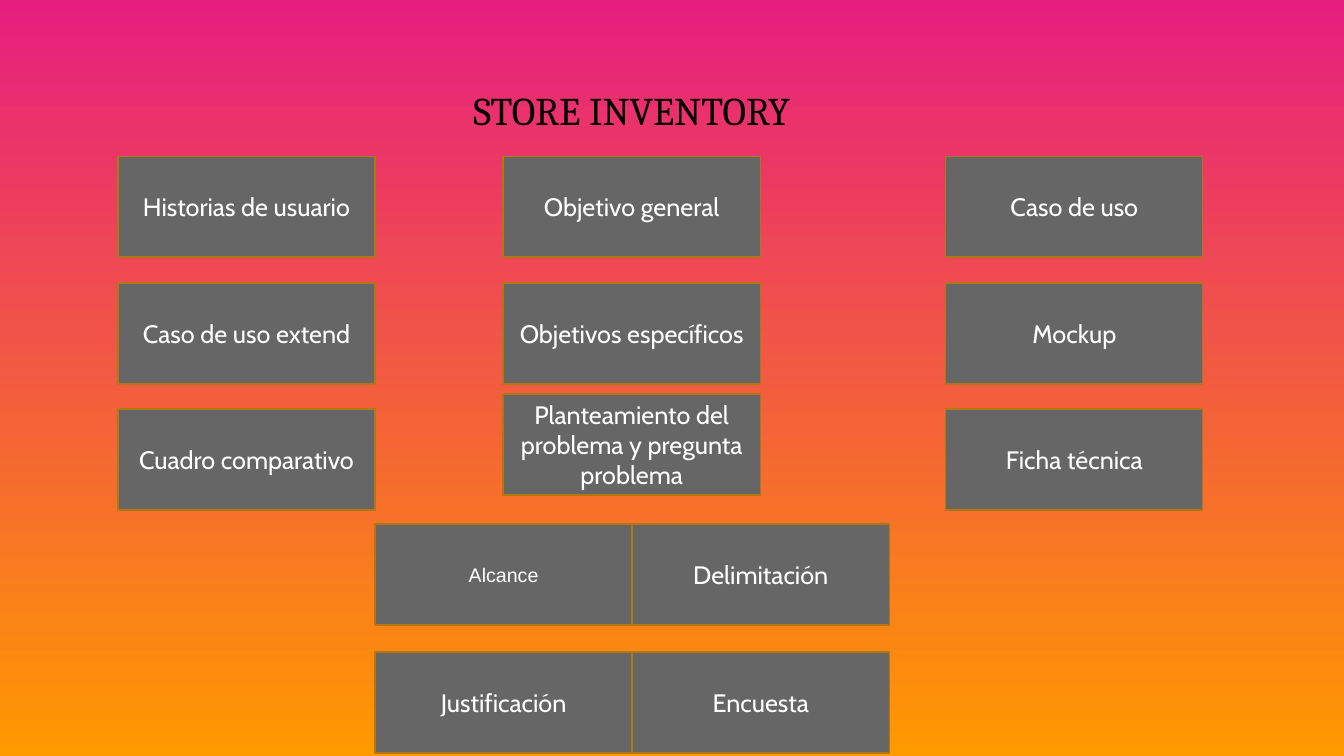
import dataclasses

import pptx
import pptx.dml.color
import pptx.enum.shapes
import pptx.enum.text
import pptx.slide
import pptx.text.text
import pptx.util

PINK = pptx.dml.color.RGBColor(0xE6, 0x1E, 0x7F)
ORANGE = pptx.dml.color.RGBColor(0xFF, 0x99, 0x00)
GREY = pptx.dml.color.RGBColor(0x66, 0x66, 0x66)
BROWN = pptx.dml.color.RGBColor(0xB3, 0x76, 0x15)
WHITE = pptx.dml.color.RGBColor(0xFF, 0xFF, 0xFF)
BLACK = pptx.dml.color.RGBColor(0x00, 0x00, 0x00)

SCALE = 9144  # EMU per px, 100 px to the inch
WIDE, HIGH = 255, 100
LEFT, MID, RIGHT = 117, 499, 938
PAIR = LEFT + WIDE  # the paired boxes start where the left column ends
TOPS = (155, 281, 406, 520, 647)


@dataclasses.dataclass(frozen=True)
class Box:
    text: str
    left: int
    top: int
    font: str = "Cabin"
    size: int = 18


BOXES = (
    Box("Historias de usuario", LEFT, TOPS[0]),
    Box("Objetivo general", MID, TOPS[0]),
    Box("Caso de uso", RIGHT, TOPS[0]),
    Box("Caso de uso extend", LEFT, TOPS[1]),
    Box("Objetivos específicos", MID, TOPS[1]),
    Box("Mockup", RIGHT, TOPS[1]),
    Box("Cuadro comparativo", LEFT, TOPS[2]),
    Box("Planteamiento del problema y pregunta problema", MID, 391),
    Box("Ficha técnica", RIGHT, TOPS[2]),
    Box("Alcance", PAIR, TOPS[3], "Arial", 14),
    Box("Delimitación", PAIR + WIDE, TOPS[3]),
    Box("Justificación", PAIR, TOPS[4]),
    Box("Encuesta", PAIR + WIDE, TOPS[4]),
)


def px(count: int) -> pptx.util.Emu:
    return pptx.util.Emu(count * SCALE)


def apply(target: object, values: dict) -> None:
    """Set each named attribute of the target."""
    for name, value in values.items():
        setattr(target, name, value)


def write(frame: pptx.text.text.TextFrame, text: str, font: str, size: int,
          color: pptx.dml.color.RGBColor, values: dict) -> None:
    frame.text = text
    apply(frame, {"word_wrap": True, "margin_left": px(10),
                  "margin_right": px(10), **values})
    line = frame.paragraphs[0]
    line.alignment = pptx.enum.text.PP_ALIGN.CENTER
    run = line.runs[0]
    apply(run.font, {"name": font, "size": pptx.util.Pt(size)})
    run.font.color.rgb = color


def paint(slide: pptx.slide.Slide) -> None:
    """Fill the background with pink above and orange below."""
    fill = slide.background.fill
    fill.gradient()
    fill.gradient_angle = 270
    for stop, color in zip(fill.gradient_stops, (PINK, ORANGE)):
        stop.color.rgb = color


def head(slide: pptx.slide.Slide) -> None:
    title = slide.shapes.title
    apply(title, {"left": px(270), "top": px(76),
                  "width": px(713), "height": px(67)})
    write(title.text_frame, "STORE INVENTORY", "Cambria", 28, BLACK, {
        "margin_top": px(10), "margin_bottom": px(10),
        "vertical_anchor": pptx.enum.text.MSO_ANCHOR.TOP,
        "auto_size": pptx.enum.text.MSO_AUTO_SIZE.SHAPE_TO_FIT_TEXT})


def draw(slide: pptx.slide.Slide, box: Box) -> None:
    shape = slide.shapes.add_shape(
        pptx.enum.shapes.MSO_SHAPE.RECTANGLE,
        px(box.left), px(box.top), px(WIDE), px(HIGH))
    shape.shadow.inherit = False
    shape.fill.solid()
    shape.fill.fore_color.rgb = GREY
    shape.line.color.rgb = BROWN
    shape.line.width = pptx.util.Pt(1)
    write(shape.text_frame, box.text, box.font, box.size, WHITE, {
        "margin_top": px(5), "margin_bottom": px(5),
        "vertical_anchor": pptx.enum.text.MSO_ANCHOR.MIDDLE})


def main() -> None:
    deck = pptx.Presentation()
    apply(deck, {"slide_width": px(1333), "slide_height": px(750)})
    slide = deck.slides.add_slide(deck.slide_layouts.get_by_name("Title Only"))
    paint(slide)
    head(slide)
    for box in BOXES:
        draw(slide, box)
    deck.save("out.pptx")


if __name__ == "__main__":
    main()
